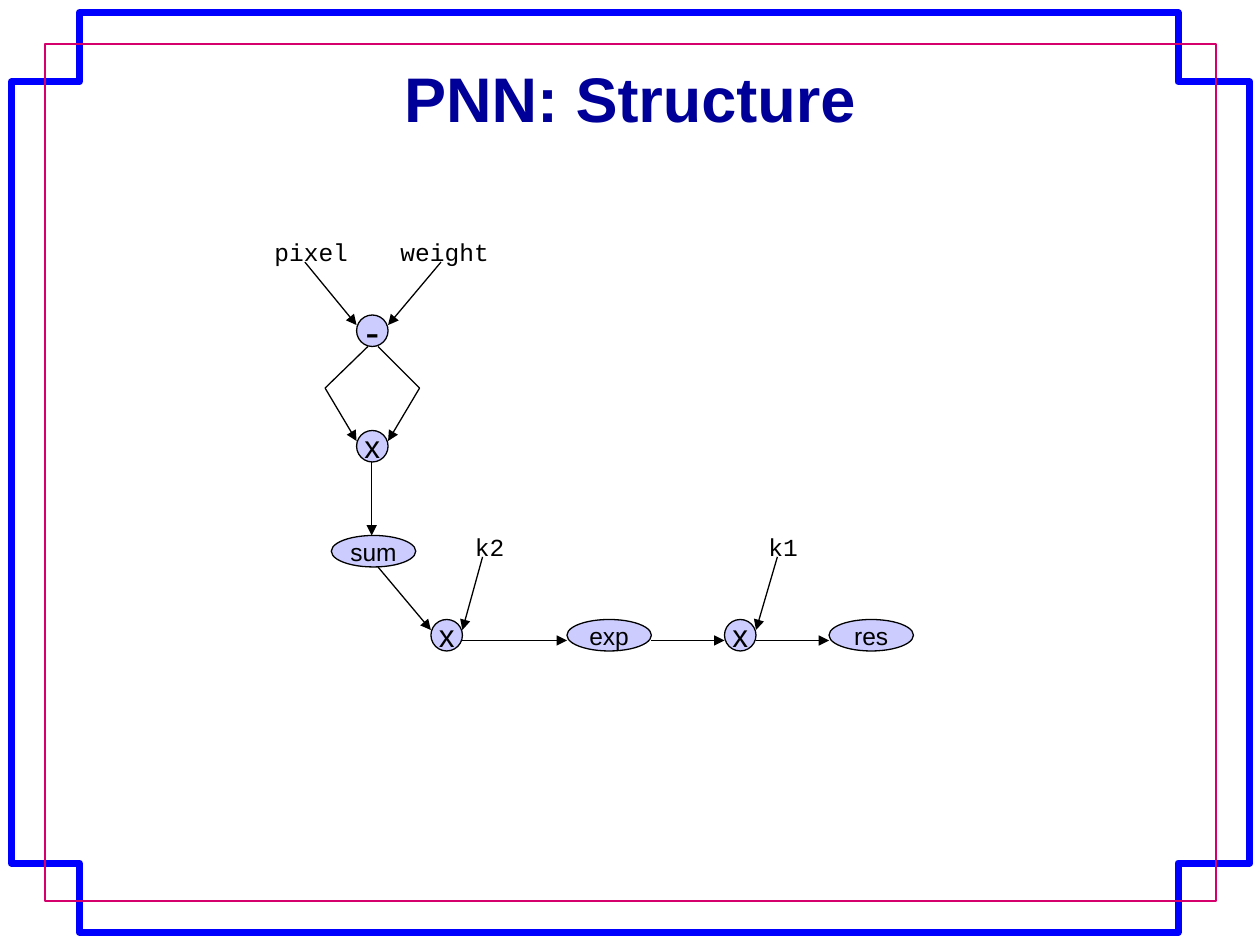
"""Build the slide showing the PNN structure as a data-flow graph."""
from dataclasses import dataclass

from lxml.etree import SubElement
from pptx import Presentation
from pptx.dml.color import RGBColor
from pptx.enum.shapes import MSO_CONNECTOR as Connector, MSO_SHAPE as Shape
from pptx.enum.text import MSO_ANCHOR as Anchor, MSO_AUTO_SIZE as AutoSize, PP_ALIGN as Align
from pptx.oxml.ns import qn
from pptx.shapes.shapetree import SlideShapes
from pptx.text.text import TextFrame
from pptx.util import Inches, Pt

BLACK = RGBColor(0x00, 0x00, 0x00)
NAVY = RGBColor(0x00, 0x00, 0x99)
BLUE = RGBColor(0x00, 0x00, 0xFF)
CRIMSON = RGBColor(0xD5, 0x00, 0x6C)
LAVENDER = RGBColor(0xCC, 0xCC, 0xFF)
NODE_HEIGHT = 0.25
GRID = 1 / 12
FLOW_TOP = 5 - GRID
FLOW_LINE = 5 + GRID


@dataclass(frozen=True)
class Node:
    text: str
    left: float
    top: float
    width: float = 0.25
    size: int = 18


@dataclass(frozen=True)
class Input:
    text: str
    left: float
    top: float
    width: float


@dataclass(frozen=True)
class Edge:
    start: tuple[float, float]
    end: tuple[float, float]
    arrow: bool = True


NODES = (
    Node("-", 2.83, 2.5, size=24),
    Node("x", 2.83, 5 * GRID + 3),
    Node("sum", 2.63, 4.25, 0.67, 14),
    Node("x", 3.42, FLOW_TOP),
    Node("exp", 4.5, FLOW_TOP, 0.67, 14),
    Node("x", 5.75, FLOW_TOP),
    Node("res", 6.58, FLOW_TOP, 0.67, 14),
)
INPUTS = (
    Input("pixel", 2.08, 1.83, 0.8),
    Input("weight", 3.08, 1.83, 0.92),
    Input("k2", 3.67, 4.17, 0.45),
    Input("k1", 6, 4.17, 0.45),
)
EDGES = (
    Edge((2.42, 2.08), (2.83, 2.58)),
    Edge((3.5, 2.08), (3.08, 2.58)),
    Edge((2.92, 2.75), (2.58, 3.08), arrow=False),
    Edge((2.58, 3.08), (2.83, 3.5)),
    Edge((3, 2.75), (3.33, 3.08), arrow=False),
    Edge((3.33, 3.08), (3.08, 3.5)),
    Edge((2.95, 3.67), (2.95, 4.25)),
    Edge((3, 4.5), (3.42, 5)),
    Edge((3.83, 4.42), (3.67, 5)),
    Edge((6.17, 4.42), (6, 5)),
    Edge((3.67, FLOW_LINE), (4.5, FLOW_LINE)),
    Edge((5.17, FLOW_LINE), (5.75, FLOW_LINE)),
    Edge((6, FLOW_LINE), (6.58, FLOW_LINE)),
)
NOTCHED_BORDER = (
    (0.09, 0.65), (0.63, 0.65), (0.63, 0.1), (9.35, 0.1), (9.35, 0.65), (9.92, 0.65),
    (9.92, 6.85), (9.35, 6.85), (9.35, 7.4), (0.63, 7.4), (0.63, 6.85), (0.09, 6.85),
)
INNER_BORDER = ((0.36, 0.35), (9.65, 0.35), (9.65, 7.15), (0.36, 7.15))


def write(frame: TextFrame, text: str, font: str, size: int, color: RGBColor,
          align: Align = Align.LEFT, bold: bool = False) -> None:
    paragraph = frame.paragraphs[0]
    paragraph.alignment = align
    run = paragraph.add_run()
    run.text = text
    run.font.name = font
    run.font.size = Pt(size)
    run.font.bold = bold
    run.font.color.rgb = color


def draw_border(shapes: SlideShapes, corners: tuple[tuple[float, float], ...],
                color: RGBColor, weight: float) -> None:
    points = [(Inches(x), Inches(y)) for x, y in corners]
    builder = shapes.build_freeform(*points[0])
    builder.add_line_segments(points[1:], close=True)
    border = builder.convert_to_shape()
    border.shadow.inherit = False
    border.fill.background()
    border.line.color.rgb = color
    border.line.width = Pt(weight)


def draw_node(shapes: SlideShapes, node: Node) -> None:
    oval = shapes.add_shape(Shape.OVAL, Inches(node.left), Inches(node.top),
                            Inches(node.width), Inches(NODE_HEIGHT))
    oval.shadow.inherit = False
    oval.fill.solid()
    oval.fill.fore_color.rgb = LAVENDER
    oval.line.color.rgb = BLACK
    oval.line.width = Pt(0.75)
    oval.text_frame.word_wrap = False
    oval.text_frame.vertical_anchor = Anchor.MIDDLE
    write(oval.text_frame, node.text, "Arial", node.size, BLACK, Align.CENTER)


def draw_input(shapes: SlideShapes, source: Input) -> None:
    label = shapes.add_textbox(Inches(source.left), Inches(source.top),
                               Inches(source.width), Inches(0.34))
    label.text_frame.word_wrap = False
    label.text_frame.auto_size = AutoSize.SHAPE_TO_FIT_TEXT
    write(label.text_frame, source.text, "Courier New", 14, BLACK)


def draw_edge(shapes: SlideShapes, edge: Edge) -> None:
    ends = [Inches(length) for length in (*edge.start, *edge.end)]
    connector = shapes.add_connector(Connector.STRAIGHT, *ends)
    connector.line.color.rgb = BLACK
    connector.line.width = Pt(0.75)
    properties = connector.element.spPr
    if edge.arrow:
        SubElement(properties.find(qn("a:ln")), qn("a:tailEnd"), type="triangle")
    SubElement(properties, qn("a:effectLst"))


def main() -> None:
    deck = Presentation()
    deck.slide_width = Inches(10)
    deck.slide_height = Inches(7.5)
    shapes = deck.slides.add_slide(deck.slide_layouts[5]).shapes

    draw_border(shapes, NOTCHED_BORDER, BLUE, 4)
    draw_border(shapes, INNER_BORDER, CRIMSON, 1)

    title = shapes.title
    title.left, title.top = Inches(0.75), Inches(0.42)
    title.width, title.height = Inches(8.5), Inches(0.75)
    title.text_frame.vertical_anchor = Anchor.TOP
    write(title.text_frame, "PNN: Structure", "Arial", 36, NAVY, Align.CENTER, bold=True)

    for node in NODES:
        draw_node(shapes, node)
    for source in INPUTS:
        draw_input(shapes, source)
    for edge in EDGES:
        draw_edge(shapes, edge)

    deck.save("out.pptx")


if __name__ == "__main__":
    main()
